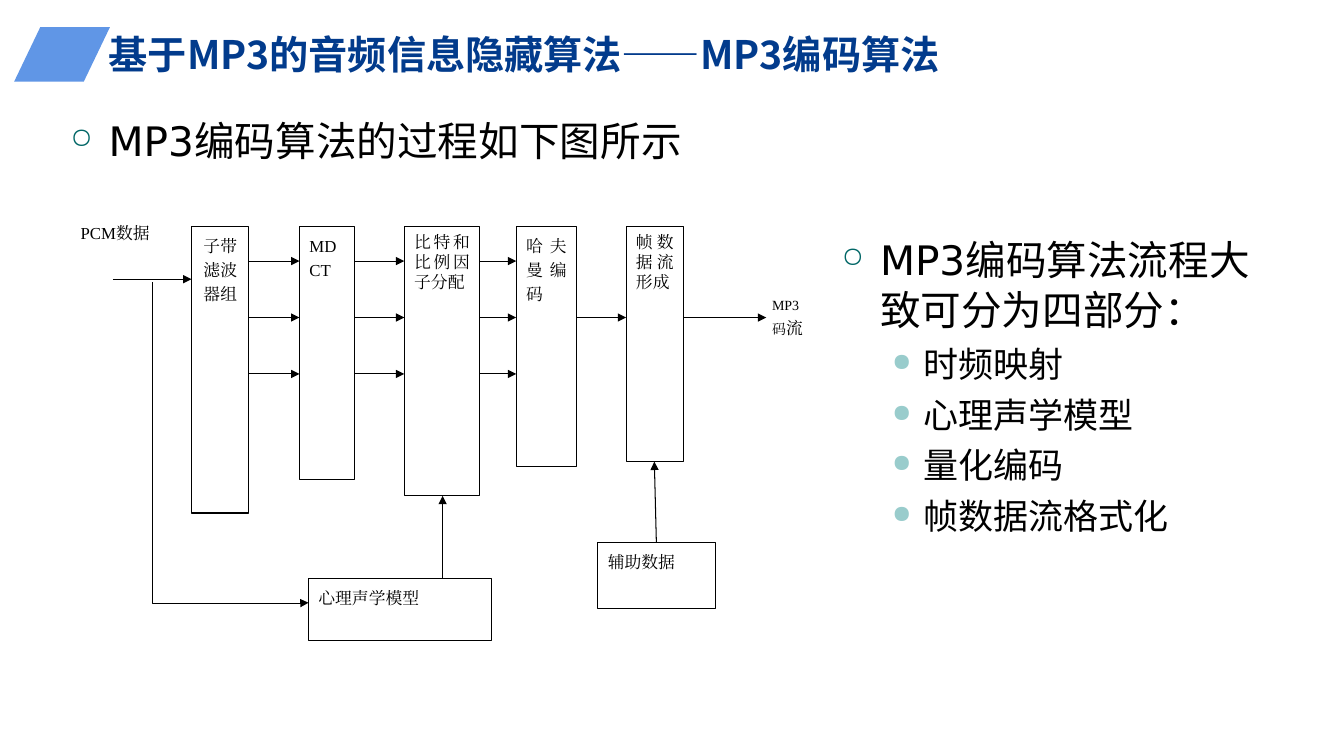
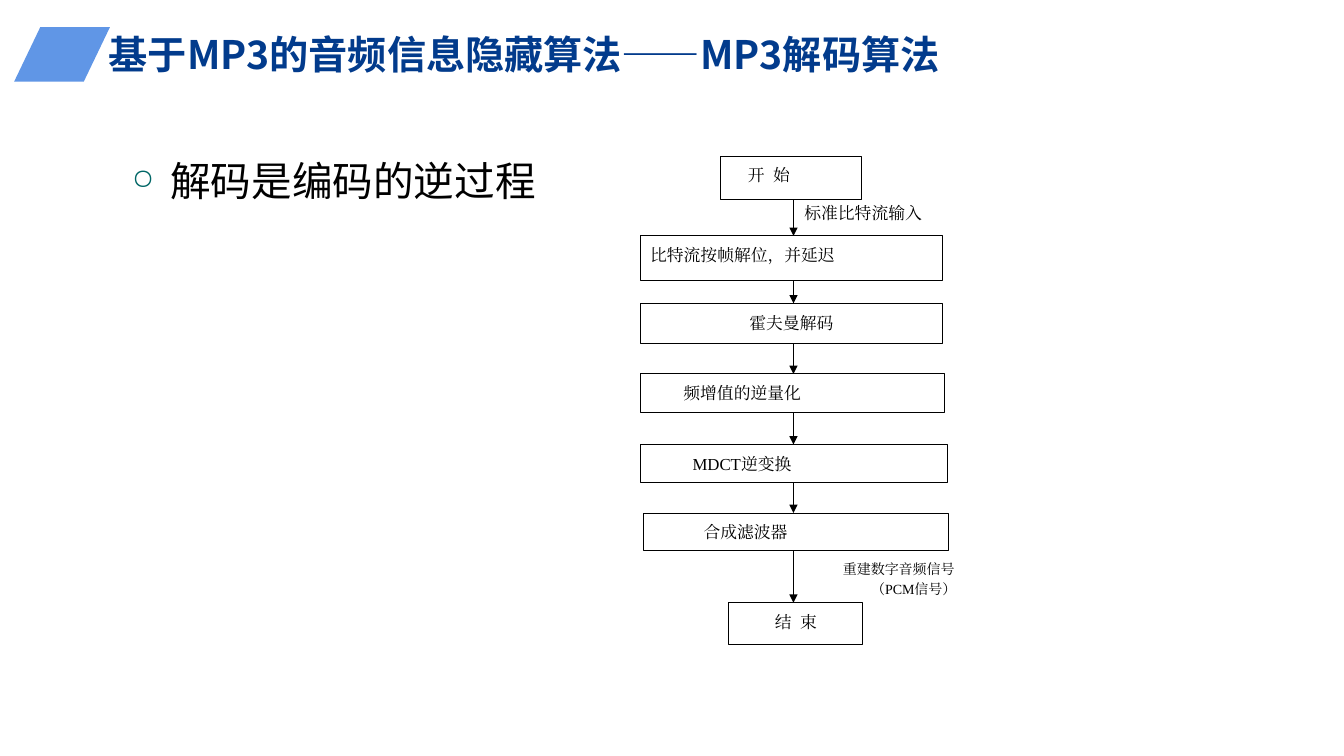
import pptx
import pptx.util
import pptx.dml.color
import pptx.enum.shapes
import pptx.enum.text
import pptx.oxml
import pptx.oxml.ns

INK = {"title": "023B8C", "mark": "6096E6", "text": "000000", "box": "FFFFFF",
       "ring": "006666", "dot": "99CCCC"}
HEAD, BODY, FLOW = "Noto Sans CJK SC", "DejaVu Sans", "Times New Roman"
SHAPE = pptx.enum.shapes.MSO_SHAPE
LINK = pptx.enum.shapes.MSO_CONNECTOR
ALIGN = pptx.enum.text.PP_ALIGN
ANCHOR = pptx.enum.text.MSO_ANCHOR
ALIGNS = {"l": ALIGN.LEFT, "c": ALIGN.CENTER, "j": ALIGN.JUSTIFY}
# level: bullet, colour, left indent, size
LEVELS = [("○", "ring", 0.38, 0.38, 29), ("●", "dot", 0.81, 0.31, 25)]

TITLE = "基于MP3的音频信息隐藏算法——MP3{}算法"
INTRO = [(0, "MP3编码算法的过程如下图所示")]
PARTS = [(0, "MP3编码算法流程大致可分为四部分："), (1, "时频映射"),
         (1, "心理声学模型"), (1, "量化编码"), (1, "帧数据流格式化")]
NOTE = [(0, "解码是编码的逆过程")]

# encoder stages: text, left, width, height, align, line spacing
TOP = 2.25
STAGES = [("子带滤波器组", 1.9, 0.57, 2.84, "c", 1.2),
          ("MDCT", 2.97, 0.55, 2.51, "j", 1.2),
          ("比特和比例因子分配", 4.01, 0.75, 2.67, "j", 1),
          ("哈夫曼编码", 5.12, 0.6, 2.38, "j", 1.2),
          ("帧数据流形成", 6.21, 0.57, 2.33, "j", 1)]
ROWS = [2.59, 3.15, 3.71]
MODEL = ("心理声学模型", (3.06, 5.74, 1.82, 0.61))
EXTRA = ("辅助数据", (5.93, 5.38, 1.17, 0.66))

# decoder steps: text, left, top, width, height, align, first line indent
STEPS = [("开\u2002始", 7.15, 1.55, 1.39, 0.43, "j", 0.17),
         ("比特流按帧解位，并延迟", 6.35, 2.34, 3, 0.44, "j", 0),
         ("霍夫曼解码", 6.35, 3.01, 3, 0.4, "c", 0),
         ("频增值的逆量化", 6.35, 3.71, 3.02, 0.38, "j", 0.33),
         ("MDCT逆变换", 6.35, 4.41, 3.05, 0.38, "j", 0.42),
         ("合成滤波器", 6.38, 5.09, 3.03, 0.37, "j", 0.5),
         ("结\u2002束", 7.23, 5.98, 1.33, 0.41, "c", 0)]
AXIS = 7.87


def inch(*vals):
    return [pptx.util.Inches(v) for v in vals]


def rgb(key):
    return pptx.dml.color.RGBColor.from_string(INK[key])


def node(parent, tag, **attrs):
    sub = pptx.oxml.parse_xml(f'<a:{tag} {pptx.oxml.ns.nsdecls("a")}/>')
    for key, val in attrs.items():
        sub.set(key, str(val))
    parent.append(sub)
    return sub


def write(shape, paras, size=12, font=FLOW, ink="text", bold=False, align="j",
          space=1.2, first=0, pad=(0.1, 0.05), anchor=ANCHOR.TOP):
    """Fill a shape; a paragraph is a string or a list of (text, size)."""
    frame = shape.text_frame
    frame.word_wrap = True
    frame.vertical_anchor = anchor
    frame.margin_left = frame.margin_right = pptx.util.Inches(pad[0])
    frame.margin_top = frame.margin_bottom = pptx.util.Inches(pad[1])
    for i, item in enumerate(paras):
        para = frame.add_paragraph() if i else frame.paragraphs[0]
        para.alignment = ALIGNS[align]
        para.line_spacing = float(space)
        indent = first[i] if isinstance(first, list) else first
        if indent:
            para._p.get_or_add_pPr().set("indent", str(pptx.util.Inches(indent)))
        for text, points in [(item, size)] if isinstance(item, str) else item:
            run = para.add_run()
            run.text = text
            run.font.size = pptx.util.Pt(points)
            run.font.name = font
            run.font.bold = bold
            run.font.color.rgb = rgb(ink)
            node(run._r.get_or_add_rPr(), "ea", typeface=font)


def label(slide, at, paras, **fmt):
    box = slide.shapes.add_textbox(*inch(*at))
    write(box, paras, **fmt)
    return box


def block(slide, at, text, **fmt):
    box = slide.shapes.add_shape(SHAPE.RECTANGLE, *inch(*at))
    box.shadow.inherit = False
    box.fill.solid()
    box.fill.fore_color.rgb = rgb("box")
    box.line.color.rgb = rgb("text")
    box.line.width = pptx.util.Pt(0.75)
    write(box, [text], **fmt)


def arrow(slide, x1, y1, x2, y2, kind=LINK.STRAIGHT):
    link = slide.shapes.add_connector(kind, *inch(x1, y1, x2, y2))
    link.line.color.rgb = rgb("text")
    link.line.width = pptx.util.Pt(0.75)
    node(link.line._get_or_add_ln(), "tailEnd", type="triangle")
    node(link._element.spPr, "effectLst")
    return link


def corner(slide, x1, y1, x2, y2):
    """Arrow that runs down, then right: a flipped elbow turned by 270 degrees."""
    mx, my, dx, dy = (x1 + x2) / 2, (y1 + y2) / 2, (x2 - x1) / 2, (y2 - y1) / 2
    link = arrow(slide, mx + dy, my - dx, mx - dy, my + dx, LINK.ELBOW)
    props = link._element.spPr
    props.xfrm.set("rot", str(270 * 60000))
    guides = props.find(pptx.oxml.ns.qn("a:prstGeom")).get_or_add_avLst()
    node(guides, "gd", name="adj1", fmla="val 100100")


def bullets(slide, at, items):
    box = label(slide, at, [[(text, LEVELS[lev][4])] for lev, text in items],
                font=BODY, align="l", space=1.04)
    for i, (lev, _) in enumerate(items):
        char, ink, left, hang, size = LEVELS[lev]
        para = box.text_frame.paragraphs[i]
        para.level = lev
        para.space_before = pptx.util.Pt(size * 0.2 if i else 0)
        props = para._p.get_or_add_pPr()
        props.set("marL", str(pptx.util.Inches(left)))
        props.set("indent", str(-pptx.util.Inches(hang)))
        node(node(props, "buClr"), "srgbClr", val=INK[ink])
        node(props, "buSzPct", val=70000)
        node(props, "buChar", char=char)


def page(deck, name):
    slide = deck.slides.add_slide(deck.slide_layouts[6])
    label(slide, (0.98, 0.25, 10.36, 0.57), [TITLE.format(name)], size=28,
          font=HEAD, ink="title", bold=True, align="l", space=1,
          anchor=ANCHOR.MIDDLE)
    mark = slide.shapes.add_shape(SHAPE.PARALLELOGRAM, *inch(0.14, 0.27, 0.95, 0.54))
    mark.adjustments[0] = 0.48
    mark.shadow.inherit = False
    mark.fill.solid()
    mark.fill.fore_color.rgb = rgb("mark")
    mark.line.fill.background()
    return slide


def encoder(deck):
    slide = page(deck, "编码")
    bullets(slide, (0.6, 1.08, 6.95, 0.7), INTRO)
    bullets(slide, (8.25, 2.26, 4.5, 3.24), PARTS)
    label(slide, (0.8, 2.12, 1.26, 0.58), ["PCM数据"], pad=(0, 0.05))
    label(slide, (7.28, 2.86, 1.23, 1.35), ["MP3", [("码", 10), ("流", 12)]],
          size=10, first=0.28)
    for text, left, wide, high, align, space in STAGES:
        block(slide, (left, TOP, wide, high), text, align=align, space=space)
    for i, (one, two) in enumerate(zip(STAGES, STAGES[1:])):
        for y in ROWS if i < 3 else ROWS[1:2]:
            arrow(slide, one[1] + one[2], y, two[1], y)
    for text, at in (MODEL, EXTRA):
        block(slide, at, text)
    last = STAGES[-1]
    arrow(slide, 1.12, 2.77, STAGES[0][1], 2.77)
    arrow(slide, last[1] + last[2], ROWS[1], 7.6, ROWS[1])
    arrow(slide, 4.39, MODEL[1][1], 4.39, TOP + STAGES[2][3])
    arrow(slide, 6.51, EXTRA[1][1], 6.49, TOP + last[3])
    corner(slide, 1.51, 2.8, MODEL[1][0], 5.98)


def decoder(deck):
    slide = page(deck, "解码")
    bullets(slide, (1.21, 1.48, 5.56, 0.59), NOTE)
    label(slide, (7.88, 1.92, 2.03, 0.44), ["标准比特流输入"])
    label(slide, (8.36, 5.53, 1.89, 0.66), ["重建数字音频信号", "（PCM信号）"],
          size=10, first=[0, 0.28], pad=(0, 0))
    for text, *at, align, first in STEPS:
        block(slide, at, text, align=align, first=first)
    for one, two in zip(STEPS, STEPS[1:]):
        arrow(slide, AXIS, one[2] + one[4], AXIS, two[2])


def main():
    deck = pptx.Presentation()
    deck.slide_width, deck.slide_height = inch(13.33, 7.5)
    encoder(deck)
    decoder(deck)
    deck.save("out.pptx")


if __name__ == "__main__":
    main()
